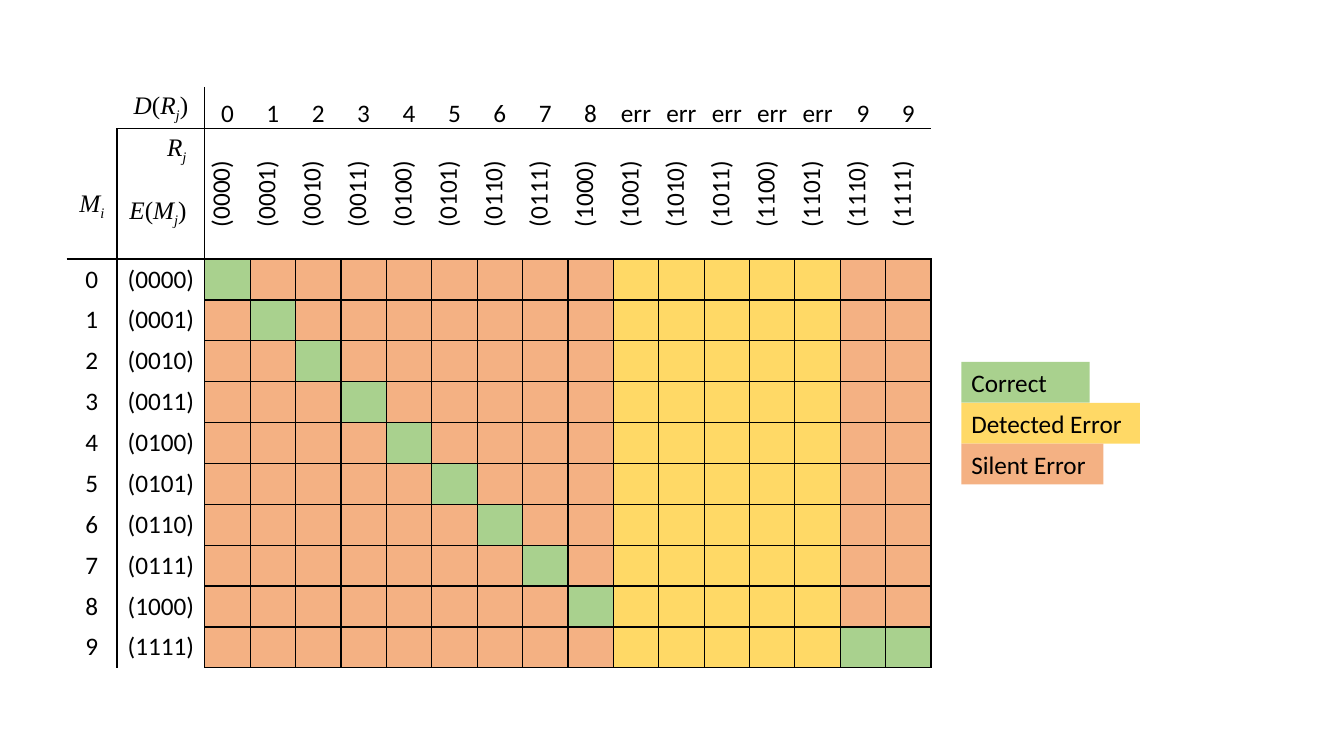
from dataclasses import dataclass

from pptx import Presentation
from pptx.dml.color import RGBColor
from pptx.enum.shapes import MSO_SHAPE
from pptx.enum.text import MSO_ANCHOR, MSO_AUTO_SIZE, PP_ALIGN
from pptx.oxml import parse_xml
from pptx.oxml.ns import nsdecls
from pptx.util import Cm, Pt

BLACK = RGBColor(0x00, 0x00, 0x00)
GREEN = RGBColor(0xA9, 0xD1, 0x8E)
YELLOW = RGBColor(0xFF, 0xD9, 0x66)
ORANGE = RGBColor(0xF4, 0xB1, 0x83)

DECODED = [*"012345678", *["err"] * 5, "9", "9"]
RECEIVED = [f"({value:04b})" for value in range(16)]
MESSAGES = list("0123456789")
ENCODED = [*RECEIVED[:9], RECEIVED[15]]
HEADER_ROWS = HEADER_COLUMNS = 2
FIRST_WIDTH, SECOND_WIDTH, GRID_WIDTH = Cm(1.27), Cm(2.21), Cm(18.31)
DECODED_HEIGHT, RECEIVED_HEIGHT, MESSAGE_HEIGHT = Cm(1.05), Cm(3.28), Cm(1.03)


@dataclass(frozen=True)
class Span:
    text: str
    italic: bool = False
    subscript: bool = False
    font: str = "Times New Roman"


@dataclass(frozen=True)
class LegendEntry:
    label: str
    color: RGBColor
    width: Cm
    wrap: bool = False


def indexed(symbol: str, index: str) -> list[Span]:
    return [Span(symbol, italic=True), Span(index, italic=True, subscript=True)]


def function_of(name: str, symbol: str) -> list[Span]:
    return [Span(name, italic=True), Span("("), *indexed(symbol, "j"), Span(")")]


def write(para, spans: list[Span], alignment=PP_ALIGN.CENTER) -> None:
    para.alignment = alignment
    for span in spans:
        run = para.add_run()
        run.text = span.text
        run.font.name, run.font.size = span.font, Pt(18)
        run.font.italic = span.italic
        run.font.color.rgb = BLACK
        if span.subscript:
            run.font._element.set("baseline", "-25000")


def write_plain(cell, text: str) -> None:
    write(cell.text_frame.paragraphs[0], [Span(text, font="Calibri")])


def border_sides(row: int, column: int) -> str:
    """Return the letters of the sides that carry a line."""
    if row >= HEADER_ROWS and column < HEADER_COLUMNS:
        return ("R" if column == 0 else "LR") + ("T" if row == HEADER_ROWS else "")
    if row >= HEADER_ROWS or (row, column) == (1, 1):
        return "LRTB"
    if column < HEADER_COLUMNS:
        return "" if (row, column) == (0, 0) else "RB"
    return ("TB" if row == 1 else "B") + ("L" if column == HEADER_COLUMNS else "")


def draw_borders(cell, sides: str) -> None:
    properties = cell._tc.get_or_add_tcPr()
    for side in "LRTB":
        paint = (f'<a:solidFill><a:srgbClr val="{BLACK}"/></a:solidFill>'
                 if side in sides else "<a:noFill/>")
        properties.append(parse_xml(
            f'<a:ln{side} {nsdecls("a")} w="12700">{paint}</a:ln{side}>'))


def outcome_color(message: str, decoded: str) -> RGBColor:
    if decoded == "err":
        return YELLOW
    return GREEN if decoded == message else ORANGE


def draw_table(page) -> None:
    row_count = HEADER_ROWS + len(MESSAGES)
    column_count = HEADER_COLUMNS + len(DECODED)
    width = FIRST_WIDTH + SECOND_WIDTH + GRID_WIDTH
    height = DECODED_HEIGHT + RECEIVED_HEIGHT + MESSAGE_HEIGHT * len(MESSAGES)
    table = page.shapes.add_table(
        row_count, column_count, Cm(1.68), Cm(2.19), width, height).table
    table.first_row = table.horz_banding = False
    widths = [FIRST_WIDTH, SECOND_WIDTH] + [GRID_WIDTH // len(DECODED)] * len(DECODED)
    heights = [DECODED_HEIGHT, RECEIVED_HEIGHT] + [MESSAGE_HEIGHT] * len(MESSAGES)
    for column, column_width in zip(table.columns, widths):
        column.width = column_width
    for row, row_height in zip(table.rows, heights):
        row.height = row_height

    # Borders and fills
    for row in range(row_count):
        for column in range(column_count):
            cell = table.cell(row, column)
            draw_borders(cell, border_sides(row, column))
            if row >= HEADER_ROWS and column >= HEADER_COLUMNS:
                cell.fill.solid()
                cell.fill.fore_color.rgb = outcome_color(
                    MESSAGES[row - HEADER_ROWS], DECODED[column - HEADER_COLUMNS])
            else:
                cell.fill.background()

    # Symbols in the corner
    write(table.cell(0, 1).text_frame.paragraphs[0], function_of("D", "R"))
    message_cell = table.cell(1, 0)
    message_cell.margin_top = Cm(1.53)
    write(message_cell.text_frame.paragraphs[0], indexed("M", "i"))
    code_cell = table.cell(1, 1)
    code_cell.margin_right = Cm(0.46)
    write(code_cell.text_frame.paragraphs[0], indexed("R", "j"), PP_ALIGN.RIGHT)
    encoding = code_cell.text_frame.add_paragraph()
    encoding.space_before = Pt(22)
    write(encoding, function_of("E", "M"), PP_ALIGN.RIGHT)

    # Column headings
    for column, headings in enumerate(zip(DECODED, RECEIVED), HEADER_COLUMNS):
        for row, text in enumerate(headings):
            cell = table.cell(row, column)
            cell.vertical_anchor = MSO_ANCHOR.BOTTOM
            cell.margin_left = cell.margin_right = cell.margin_top = Cm(0.03)
            cell.margin_bottom = 0
            write_plain(cell, text)
        cell._tc.get_or_add_tcPr().set("vert", "vert270")

    # Row headings
    for row, headings in enumerate(zip(MESSAGES, ENCODED), HEADER_ROWS):
        for column, text in enumerate(headings):
            write_plain(table.cell(row, column), text)


def draw_legend(page, entries: list[LegendEntry]) -> None:
    group = page.shapes.add_group_shape()
    for position, entry in enumerate(entries):
        box = group.shapes.add_shape(
            MSO_SHAPE.RECTANGLE, Cm(24.23), Cm(9.12) + position * Cm(1.03),
            entry.width, Cm(1.03))
        box.shadow.inherit = False
        box.fill.solid()
        box.fill.fore_color.rgb = entry.color
        box.line.fill.background()
        frame = box.text_frame
        frame.word_wrap = entry.wrap
        frame.auto_size = MSO_AUTO_SIZE.SHAPE_TO_FIT_TEXT
        write(frame.paragraphs[0], [Span(entry.label, font="Calibri")], PP_ALIGN.LEFT)


deck = Presentation()
deck.slide_width, deck.slide_height = Cm(33.87), Cm(19.05)
page = deck.slides.add_slide(deck.slide_layouts[6])
draw_table(page)
draw_legend(page, [
    LegendEntry("Correct", GREEN, Cm(3.23), wrap=True),
    LegendEntry("Detected Error ", YELLOW, Cm(4.5)),
    LegendEntry("Silent Error ", ORANGE, Cm(3.58)),
])
deck.save("out.pptx")
